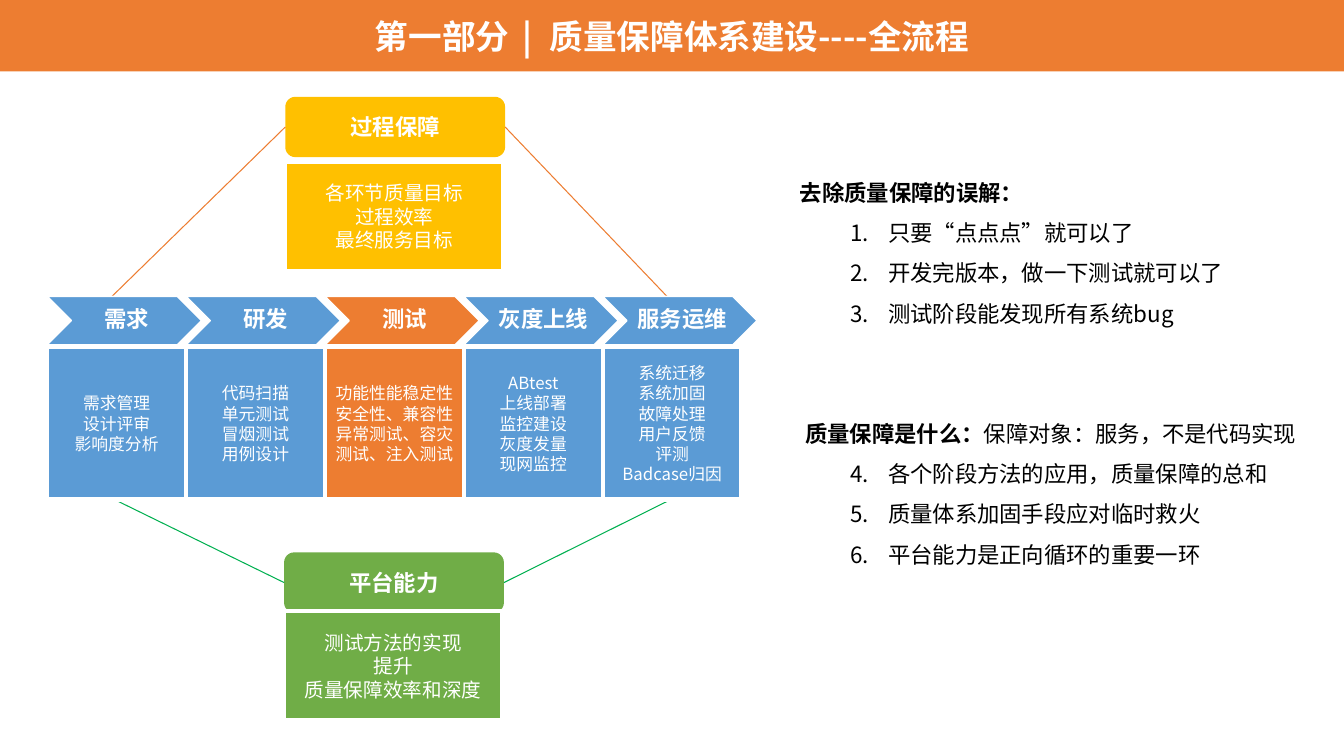
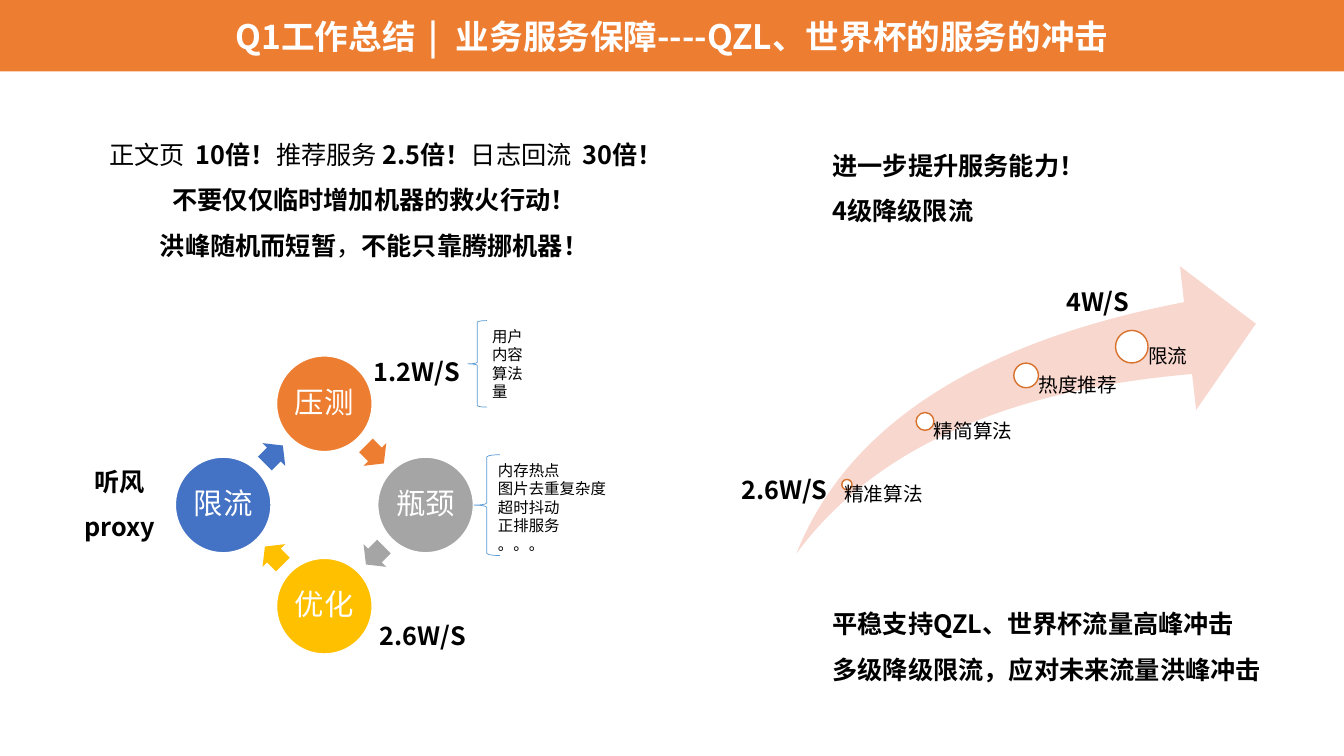
from dataclasses import dataclass
from math import cos, radians, sin

from lxml.etree import SubElement
from pptx import Presentation
from pptx.dml.color import RGBColor
from pptx.enum.shapes import MSO_CONNECTOR as Connector, MSO_SHAPE as Preset
from pptx.enum.text import MSO_ANCHOR as Anchor, MSO_AUTO_SIZE as AutoSize, PP_ALIGN as Align
from pptx.oxml.ns import qn
from pptx.util import Cm, Pt

FONT = "Noto Sans CJK SC"
LATIN_FONT = "Calibri"
ORANGE = RGBColor(0xED, 0x7D, 0x31)
YELLOW = RGBColor(0xFF, 0xC0, 0x00)
GREEN = RGBColor(0x70, 0xAD, 0x47)
LINK_GREEN = RGBColor(0x00, 0xB0, 0x50)
SKY = RGBColor(0x5B, 0x9B, 0xD5)
BLUE = RGBColor(0x44, 0x72, 0xC4)
GRAY = RGBColor(0xA5, 0xA5, 0xA5)
PINK = RGBColor(0xF8, 0xD7, 0xCE)
RUST = RGBColor(0xD7, 0x71, 0x2C)
WHITE = RGBColor(0xFF, 0xFF, 0xFF)
BLACK = RGBColor(0x00, 0x00, 0x00)

SLIDE_WIDTH, SLIDE_HEIGHT = 33.87, 19.05
TITLE_ONLY, TITLE_AND_BODY = 5, 1
DEFAULT_MARGINS = (0.25, 0.13, 0.25, 0.13)


@dataclass
class Box:
    left: float
    top: float
    width: float
    height: float

    def lengths(self):
        return Cm(self.left), Cm(self.top), Cm(self.width), Cm(self.height)


def centred(x, y, width, height):
    return Box(x - width / 2, y - height / 2, width, height)


def write(shape, lines, size=18, bold=False, color=BLACK, font=FONT, align=Align.LEFT,
          anchor=Anchor.TOP, spacing=1.0, wrap=True, margins=DEFAULT_MARGINS):
    frame = shape.text_frame
    frame.auto_size = AutoSize.NONE
    frame.word_wrap = wrap
    frame.vertical_anchor = anchor
    frame.margin_left, frame.margin_top, frame.margin_right, frame.margin_bottom = map(Cm, margins)
    for index, line in enumerate(lines):
        paragraph = frame.add_paragraph() if index else frame.paragraphs[0]
        paragraph.alignment = align
        paragraph.line_spacing = spacing
        paragraph.space_before = Pt(0)
        for part in [line] if isinstance(line, str) else line:
            text, weight, gap = part if isinstance(part, tuple) else (part, bold, 0)
            run = paragraph.add_run()
            run.text = text
            run.font.size = Pt(size)
            run.font.bold = weight
            run.font.color.rgb = color
            run.font.name = font
            properties = run.font._element
            SubElement(properties, qn("a:ea")).set("typeface", FONT)
            if gap:
                properties.set("spc", str(int(gap * 100)))
    return frame.paragraphs


def add_text(slide, box, lines, **text_format):
    return write(slide.shapes.add_textbox(*box.lengths()), lines, **text_format)


def add_preset(slide, preset, box, fill=None, line=None, line_width=1.0):
    shape = slide.shapes.add_shape(preset, *box.lengths())
    shape.shadow.inherit = False
    if fill is None:
        shape.fill.background()
    else:
        shape.fill.solid()
        shape.fill.fore_color.rgb = fill
    if line is None:
        shape.line.fill.background()
    else:
        shape.line.color.rgb = line
        shape.line.width = Pt(line_width)
    return shape


def add_panel(slide, box, fill, lines, size):
    panel = add_preset(slide, Preset.RECTANGLE, box, fill, WHITE, 3)
    write(panel, lines, size=size, color=WHITE, align=Align.CENTER,
          anchor=Anchor.MIDDLE, margins=(0.2, 0.13, 0.2, 0.13))


def add_titled_slide(presentation, layout, section, topic):
    slide = presentation.slides.add_slide(presentation.slide_layouts[layout])
    title = slide.shapes.title
    title.left, title.top, title.width, title.height = Box(0, 0, SLIDE_WIDTH, 1.8).lengths()
    title.fill.solid()
    title.fill.fore_color.rgb = ORANGE
    write(title, [[section, (" | ", True, 3.6), topic]], size=24, bold=True,
          color=WHITE, align=Align.CENTER, anchor=Anchor.MIDDLE)
    return slide


def add_pillar(slide, box, fill, heading, lines, panel_offset):
    header = add_preset(slide, Preset.ROUNDED_RECTANGLE,
                        Box(box.left, box.top, box.width, 1.52), fill)
    write(header, [heading], size=16, bold=True, color=WHITE,
          align=Align.CENTER, anchor=Anchor.MIDDLE)
    panel = Box(box.left, box.top + panel_offset, box.width - 0.04, box.height - panel_offset)
    add_panel(slide, panel, fill, lines, 14)
    return header


def add_links(slide, header, starts, color):
    left_site, right_site = 1, 3
    for (x, y), site in zip(starts, (left_site, right_site)):
        link = slide.shapes.add_connector(Connector.STRAIGHT, Cm(x), Cm(y), Cm(x), Cm(y))
        link.end_connect(header, site)
        link.line.color.rgb = color
        link.line.width = Pt(0.75)
        SubElement(link._element.spPr, qn("a:effectLst"))


def add_stages(slide, box, stages):
    pitch = 3.5
    for index, (name, fill, lines) in enumerate(stages):
        left = box.left + pitch * index
        add_panel(slide, Box(left, box.top + 1.28, pitch, box.height - 1.28), fill, lines, 12)
        chevron = add_preset(slide, Preset.CHEVRON, Box(left, box.top, 3.89, 1.22), fill, WHITE)
        write(chevron, [name], size=16, bold=True, color=WHITE, align=Align.CENTER,
              anchor=Anchor.MIDDLE, spacing=0.9, margins=(0.17, 0.05, 0.05, 0.05))


def set_list_style(paragraph, left, hanging, start=None):
    properties = paragraph._p.get_or_add_pPr()
    properties.set("marL", str(Cm(left)))
    properties.set("indent", str(Cm(-hanging)))
    if start is None:
        SubElement(properties, qn("a:buNone"))
    else:
        numbering = SubElement(properties, qn("a:buAutoNum"))
        numbering.set("type", "arabicPeriod")
        numbering.set("startAt", str(start))


def add_arguments(slide, box, sections):
    body = slide.placeholders[1]
    body.left, body.top, body.width, body.height = box.lengths()
    lines = [line for heading, items in sections for line in [heading, *items]]
    paragraphs = iter(write(body, lines, size=16, spacing=1.5))
    start = 1
    for index, (heading, items) in enumerate(sections):
        paragraph = next(paragraphs)
        set_list_style(paragraph, 0.13 * index, 0)
        paragraph.space_before = Pt(57 * index)
        for item in items:
            paragraph = next(paragraphs)
            paragraph.level = 1
            set_list_style(paragraph, 2.22, 0.95, start)
        start += len(items)


def add_cycle(slide, box, steps):
    circle, arrow_radius = 2.41, 1.8
    x, y = box.left + box.width / 2, box.top + box.height / 2
    radius = (box.width - circle) / 2
    for index, (name, fill) in enumerate(steps):
        angle = radians(90 * index - 90)
        step = add_preset(slide, Preset.OVAL,
                          centred(x + radius * cos(angle), y + radius * sin(angle), circle, circle),
                          fill, WHITE)
        write(step, [name], size=21, color=WHITE, font=LATIN_FONT, align=Align.CENTER,
              anchor=Anchor.MIDDLE, spacing=0.9, margins=(0.05, 0.08, 0.05, 0.08))
        angle += radians(45)
        arrow = add_preset(slide, Preset.RIGHT_ARROW,
                           centred(x + arrow_radius * cos(angle), y + arrow_radius * sin(angle),
                                   0.64, 0.81), fill)
        arrow.adjustments[0] = 0.6
        arrow.rotation = 45 + 90 * index


def add_climb(slide, box, milestones):
    swoosh = add_preset(slide, Preset.SWOOSH_ARROW, box, PINK)
    swoosh.adjustments[0] = swoosh.adjustments[1] = 0.25
    for name, across, down, diameter, shift in milestones:
        x, y = box.left + box.width * across, box.top + box.height * down
        add_preset(slide, Preset.OVAL, centred(x, y, diameter, diameter), WHITE, RUST)
        add_text(slide, Box(x + shift, y, 2.7, 0.8), [name], size=14, spacing=0.9,
                 margins=(diameter / 2, 0, 0, 0))


def add_braced_list(slide, box, brace_width, text_offset, lines):
    add_text(slide, Box(box.left + text_offset, box.top + 0.03, box.width, box.height),
             lines, size=11)
    add_preset(slide, Preset.LEFT_BRACE, Box(box.left, box.top, brace_width, box.height),
               line=SKY, line_width=0.5)


def build_process_slide(presentation):
    slide = add_titled_slide(presentation, TITLE_AND_BODY, "第一部分", "质量保障体系建设----全流程")
    add_arguments(slide, Box(19.91, 4.04, 13.5, 12.57), [
        ([("去除质量保障的误解：", True, 0)],
         ["只要“点点点”就可以了", "开发完版本，做一下测试就可以了", "测试阶段能发现所有系统bug"]),
        ([("质量保障是什么：", True, 0), "保障对象：服务，不是代码实现"],
         ["各个阶段方法的应用，质量保障的总和", "质量体系加固手段应对临时救火",
          "平台能力是正向循环的重要一环"]),
    ])
    process = add_pillar(slide, Box(7.19, 2.44, 5.54, 4.4), YELLOW, "过程保障",
                         ["各环节质量目标", "过程效率", "最终服务目标"], 1.63)
    platform = add_pillar(slide, Box(7.16, 13.92, 5.54, 4.24), GREEN, "平台能力",
                          ["测试方法的实现", "提升", "质量保障效率和深度"], 1.47)
    add_links(slide, process, [(2.82, 7.47), (16.81, 7.47)], ORANGE)
    add_links(slide, platform, [(2.95, 12.62), (16.94, 12.57)], LINK_GREEN)
    add_stages(slide, Box(1.19, 7.47, 17.86, 5.12), [
        ("需求", SKY, ["需求管理", "设计评审", "影响度分析"]),
        ("研发", SKY, ["代码扫描", "单元测试", "冒烟测试", "用例设计"]),
        ("测试", ORANGE, ["功能性能稳定性", "安全性、兼容性", "异常测试、容灾测试、注入测试"]),
        ("灰度上线", SKY, ["ABtest", "上线部署", "监控建设", "灰度发量", "现网监控"]),
        ("服务运维", SKY, ["系统迁移", "系统加固", "故障处理", "用户反馈", "评测", "Badcase归因"]),
    ])


def build_summary_slide(presentation):
    slide = add_titled_slide(presentation, TITLE_ONLY, "Q1工作总结",
                             "业务服务保障----QZL、世界杯的服务的冲击")
    strong = {"bold": True, "spacing": 1.5}
    label = {**strong, "align": Align.CENTER, "wrap": False}
    add_text(slide, Box(20.73, 3.28, 8, 3), ["进一步提升服务能力！", "4级降级限流"], **strong)
    add_text(slide, Box(20.73, 14.83, 12, 2.6),
             ["平稳支持QZL、世界杯流量高峰冲击", "多级降级限流，应对未来流量洪峰冲击"], **strong)
    surge = add_text(slide, Box(1.96, 3, 14.94, 3.7), [
        [("正文页", False, 0), (" ", False, 4), "10倍！", ("推荐服务 ", False, 0), "2.5倍！",
         ("日志回流", False, 0), (" ", False, 4), "30倍！"],
        "不要仅仅临时增加机器的救火行动！",
        ["洪峰随机而短暂", ("，", False, 0), "不能只靠腾挪机器！"],
    ], **label)
    set_list_style(surge[0], 0.6, 0)
    add_cycle(slide, Box(4.42, 8.97, 7.51, 7.51),
              [("压测", ORANGE), ("瓶颈", GRAY), ("优化", YELLOW), ("限流", BLUE)])
    add_climb(slide, Box(20.07, 6.71, 11.58, 7.24), [
        ("精准算法", 0.11, 0.76, 0.26, -0.2),
        ("精简算法", 0.28, 0.54, 0.45, 0),
        ("热度推荐", 0.5, 0.38, 0.62, 0),
        ("限流", 0.73, 0.28, 0.82, 0),
    ])
    add_braced_list(slide, Box(11.94, 11.46, 3.8, 2.54), 0.66, 0.36,
                    ["内存热点", "图片去重复杂度", "超时抖动", "正排服务", "。。。"])
    add_braced_list(slide, Box(11.79, 8.08, 1.8, 2.18), 0.48, 0.36,
                    ["用户", "内容", "算法", "量"])
    for left, top, width, lines in [
        (9.07, 8.48, 2.87, ["1.2W/S"]),
        (9.22, 15.11, 2.87, ["2.6W/S"]),
        (18.34, 11.43, 2.87, ["2.6W/S"]),
        (26.52, 6.71, 2.29, ["4W/S"]),
        (1.85, 11.23, 2.34, ["听风", "proxy"]),
    ]:
        add_text(slide, Box(left, top, width, 1.3 * len(lines)), lines, **label)


def main():
    presentation = Presentation()
    presentation.slide_width = Cm(SLIDE_WIDTH)
    presentation.slide_height = Cm(SLIDE_HEIGHT)
    build_process_slide(presentation)
    build_summary_slide(presentation)
    presentation.save("out.pptx")


if __name__ == "__main__":
    main()
